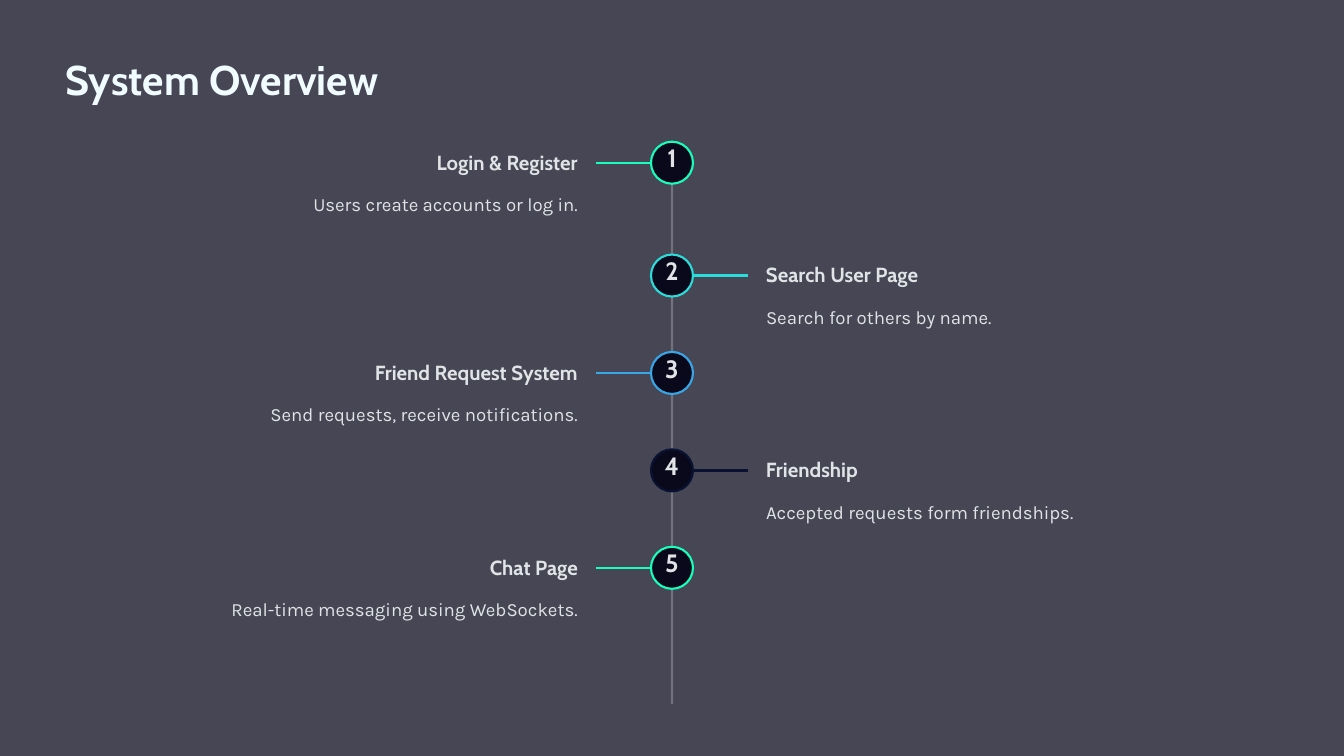
from dataclasses import dataclass

from lxml import etree
from pptx import Presentation
from pptx.dml.color import RGBColor
from pptx.enum.shapes import MSO_CONNECTOR, MSO_SHAPE
from pptx.enum.text import MSO_ANCHOR, MSO_AUTO_SIZE, PP_ALIGN
from pptx.oxml.ns import qn
from pptx.util import Pt

LEFT, CENTER, RIGHT = PP_ALIGN.LEFT, PP_ALIGN.CENTER, PP_ALIGN.RIGHT
TOP = MSO_ANCHOR.TOP
NO_AUTOFIT = MSO_AUTO_SIZE.NONE
ROUNDED = MSO_SHAPE.ROUNDED_RECTANGLE
STRAIGHT = MSO_CONNECTOR.STRAIGHT

# Content: heading, description, accent colour
TITLE = "System Overview"
STEPS = [
    ("Login & Register", "Users create accounts or log in.", "16FFBB"),
    ("Search User Page", "Search for others by name.", "29DDDA"),
    ("Friend Request System", "Send requests, receive notifications.", "37A7E7"),
    ("Friendship", "Accepted requests form friendships.", "091231"),
    ("Chat Page", "Real-time messaging using WebSockets.", "16FFBB"),
]


@dataclass(frozen=True)
class TextStyle:
    font: str
    size: float
    line: float
    color: str
    bold: bool


class Theme:
    background = "474654"
    badge = "0A081B"
    spine = "FFFFFF"
    spine_alpha = 24
    title = TextStyle("Cabin", 35.5, 44.5, "F0FCFF", True)
    number = TextStyle("Cabin", 21.5, 21.5, "E0E4E6", True)
    heading = TextStyle("Cabin", 17.5, 22, "E0E4E6", True)
    description = TextStyle("Karla", 16, 25.5, "E0E4E6", False)


# Geometry in points
WIDTH, HEIGHT = 1152, 648
AXIS = WIDTH / 2
SPINE_TOP, SPINE_BOTTOM = 121.5, 603.5
FIRST_GAP, STEP_GAP = 96.7, 83.5
BADGE = 36
ARM_END, TEXT_START = 64.8, 80.6
HEADING_WIDTH, HEADING_HEIGHT, HEADING_DROP = 180, 22, 5.8
DESCRIPTION_WIDTH, DESCRIPTION_HEIGHT, DESCRIPTION_DROP = 438.6, 25.5, 37.7
LINE_WIDTH = 2


def write(shape, text, style, alignment):
    frame = shape.text_frame
    frame.margin_left = frame.margin_right = frame.margin_top = frame.margin_bottom = 0
    frame.auto_size = NO_AUTOFIT
    frame.word_wrap = True
    frame.vertical_anchor = TOP
    paragraph = frame.paragraphs[0]
    paragraph.text = text
    paragraph.alignment = alignment
    paragraph.line_spacing = Pt(style.line)
    paragraph.font.name = style.font
    paragraph.font.size = Pt(style.size)
    paragraph.font.bold = style.bold
    paragraph.font.color.rgb = RGBColor.from_string(style.color)


def add_line(slide, x1, y1, x2, y2, color, alpha=None):
    line = slide.shapes.add_connector(STRAIGHT, Pt(x1), Pt(y1), Pt(x2), Pt(y2))
    line.line.width = Pt(LINE_WIDTH)
    line.line.color.rgb = RGBColor.from_string(color)
    properties = line._element.spPr
    if alpha is not None:
        color_element = properties.find(".//" + qn("a:srgbClr"))
        etree.SubElement(color_element, qn("a:alpha")).set("val", str(alpha * 1000))
    etree.SubElement(properties, qn("a:effectLst"))


def add_side_text(slide, side, top, width, height, text, style):
    left = AXIS + TEXT_START if side > 0 else AXIS - TEXT_START - width
    box = slide.shapes.add_textbox(Pt(left), Pt(top), Pt(width), Pt(height))
    write(box, text, style, LEFT if side > 0 else RIGHT)


def add_badge(slide, top, number, color):
    badge = slide.shapes.add_shape(
        ROUNDED, Pt(AXIS - BADGE / 2), Pt(top), Pt(BADGE), Pt(BADGE))
    badge.adjustments[0] = 0.5
    badge.shadow.inherit = False
    badge.fill.solid()
    badge.fill.fore_color.rgb = RGBColor.from_string(Theme.badge)
    badge.line.color.rgb = RGBColor.from_string(color)
    badge.line.width = Pt(1.8)
    write(badge, str(number), Theme.number, CENTER)


def add_step(slide, index, heading, description, color):
    side = 1 if index % 2 else -1
    top = SPINE_TOP
    if index:
        top += FIRST_GAP + (index - 1) * STEP_GAP
    middle = top + BADGE / 2
    add_line(slide, AXIS + side * BADGE / 2, middle,
             AXIS + side * ARM_END, middle, color)
    add_badge(slide, top, index + 1, color)
    add_side_text(slide, side, top + HEADING_DROP, HEADING_WIDTH,
                  HEADING_HEIGHT, heading, Theme.heading)
    add_side_text(slide, side, top + DESCRIPTION_DROP, DESCRIPTION_WIDTH,
                  DESCRIPTION_HEIGHT, description, Theme.description)


def main():
    presentation = Presentation()
    presentation.slide_width, presentation.slide_height = Pt(WIDTH), Pt(HEIGHT)
    slide = presentation.slides.add_slide(presentation.slide_layouts[5])
    slide.background.fill.solid()
    slide.background.fill.fore_color.rgb = RGBColor.from_string(Theme.background)

    # Title
    title = slide.shapes.title
    title.left, title.top, title.width, title.height = Pt(56), Pt(44.6), Pt(358.6), Pt(44.6)
    write(title, TITLE, Theme.title, LEFT)

    # Timeline
    add_line(slide, AXIS, SPINE_TOP, AXIS, SPINE_BOTTOM, Theme.spine, Theme.spine_alpha)
    for index, step in enumerate(STEPS):
        add_step(slide, index, *step)

    presentation.save("out.pptx")


if __name__ == "__main__":
    main()
